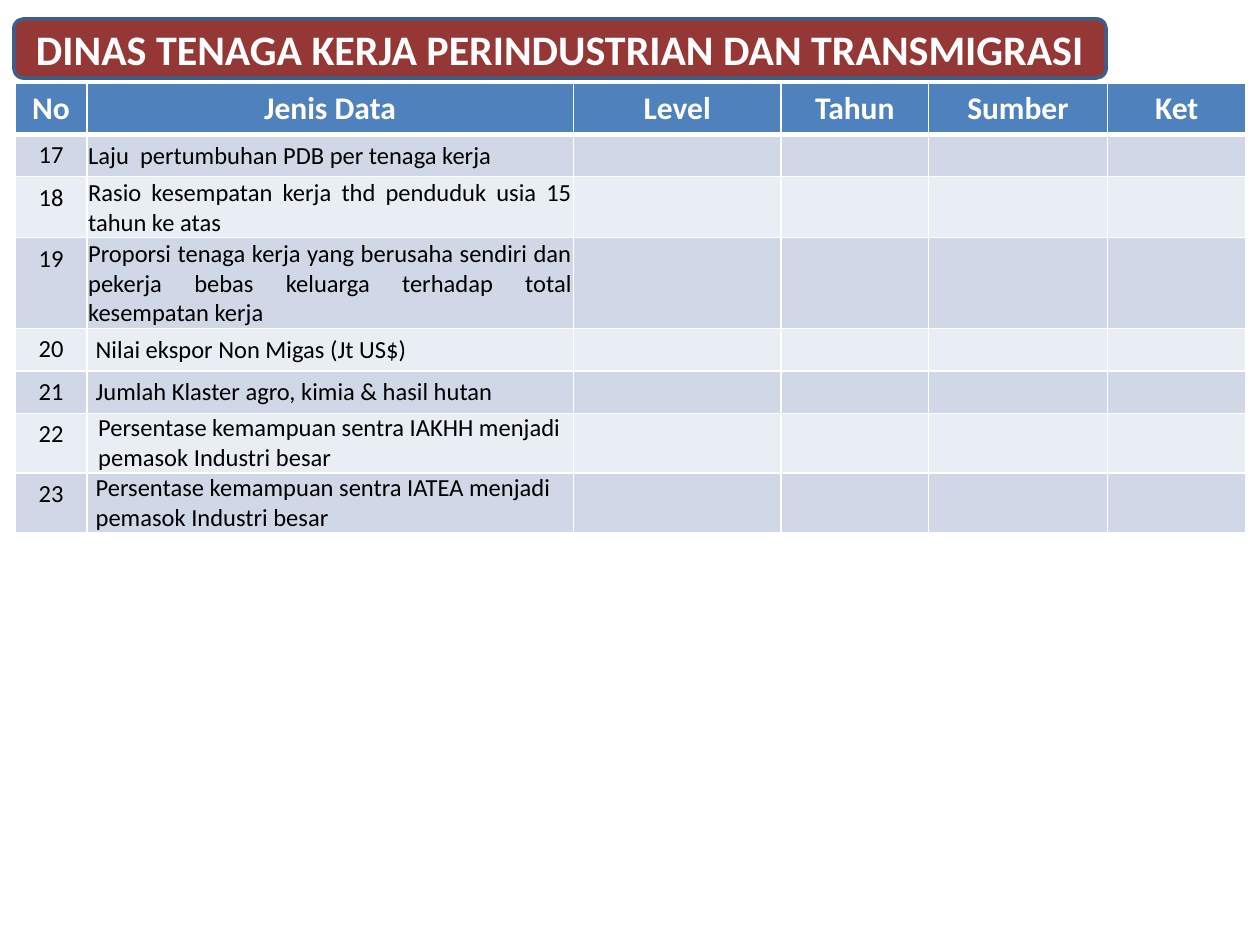
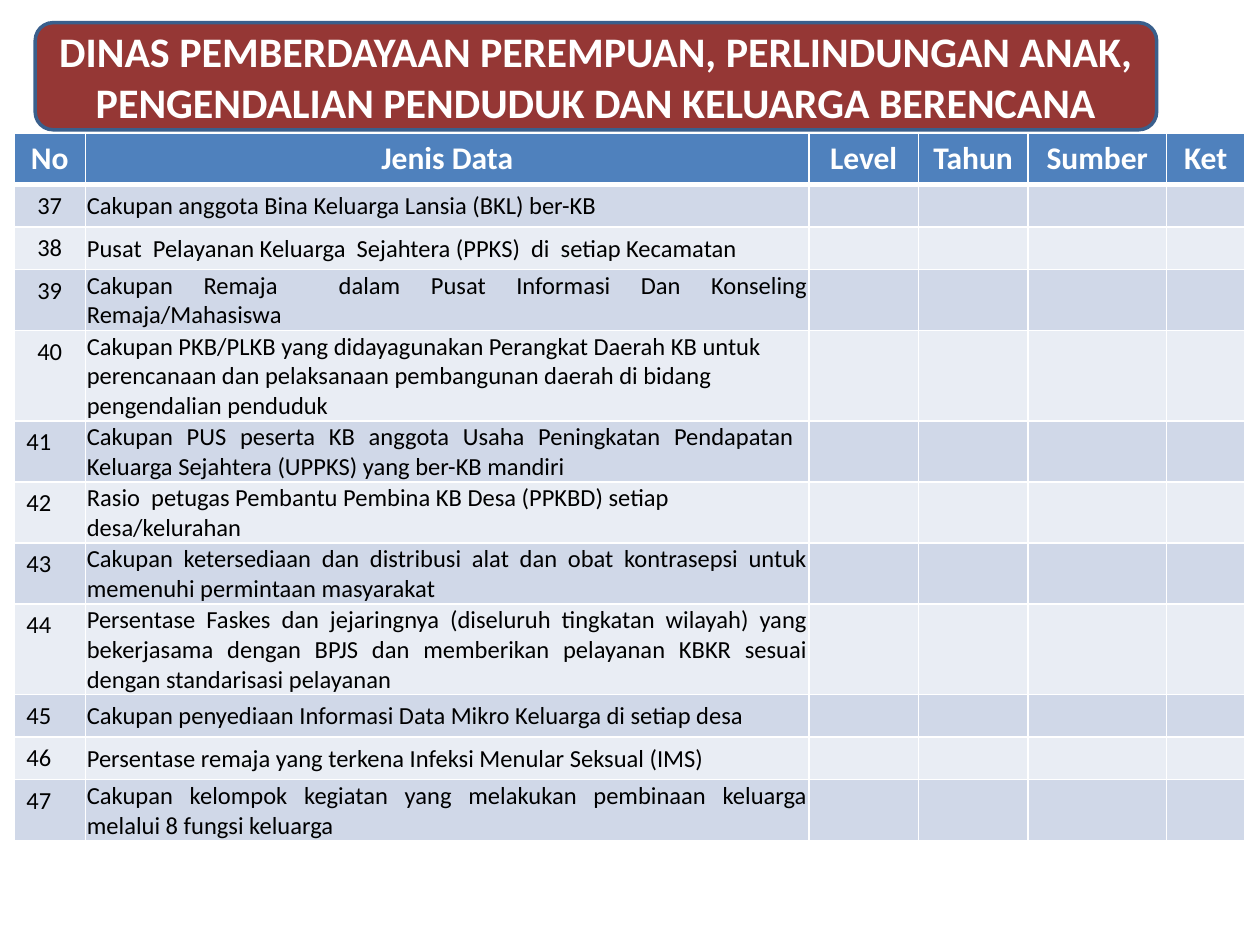
from dataclasses import dataclass

import pptx
import pptx.dml.color
import pptx.enum.shapes
import pptx.enum.text
import pptx.util
from lxml import etree
from pptx.oxml.ns import qn

Inches = pptx.util.Inches
Pt = pptx.util.Pt
ALIGN = pptx.enum.text.PP_ALIGN
MIDDLE = pptx.enum.text.MSO_ANCHOR.MIDDLE
TOP = pptx.enum.text.MSO_ANCHOR.TOP

FONT = "Calibri"
WHITE = "FFFFFF"
BLACK = "000000"
MAROON = "953735"
BANNER_LINE = "3A5F8C"
HEADER_BLUE = "4F81BD"
BANDS = ("D0D8E8", "E9EDF4")
HEADINGS = ("No", "Jenis Data", "Level", "Tahun", "Sumber", "Ket")
HEADER_HEIGHT = 0.36
ROW_HEIGHT = 0.33
LINE_HEIGHT = 0.23


@dataclass(frozen=True)
class Margins:
    left: float = 0.1
    top: float = 0.05
    right: float = 0.1
    bottom: float = 0.05


NORMAL = Margins()
TIGHT = Margins(0.01, 0.01, 0.01, 0)
PADDED = Margins(0.07, 0, 0.07, 0)
INDENTED = Margins(0.09, 0, 0, 0)
EMPTY = Margins(0.1, 0, 0.1, 0)


@dataclass(frozen=True)
class Indicator:
    text: str
    lines: int = 1
    align: ALIGN = ALIGN.LEFT
    margins: Margins = TIGHT


@dataclass(frozen=True)
class Agency:
    title: str
    banner: tuple[float, float, float, float]
    table_at: tuple[float, float]
    columns: tuple[float, ...]
    first_number: int
    last_centred: int
    indicators: tuple[Indicator, ...]


AGENCIES = (
    Agency(
        "DINAS TENAGA KERJA PERINDUSTRIAN DAN TRANSMIGRASI",
        (0.11, 0.15, 8.67, 0.47),
        (0.12, 0.66),
        (0.57, 3.86, 1.65, 1.17, 1.42, 1.1),
        17,
        23,
        (
            Indicator("Laju  pertumbuhan PDB per tenaga kerja"),
            Indicator("Rasio kesempatan kerja thd penduduk usia 15 tahun ke atas", 2, ALIGN.JUSTIFY),
            Indicator(
                "Proporsi tenaga kerja yang berusaha sendiri dan pekerja bebas keluarga "
                "terhadap total kesempatan kerja", 3, ALIGN.JUSTIFY),
            Indicator("Nilai ekspor Non Migas (Jt US$)", margins=PADDED),
            Indicator("Jumlah Klaster agro, kimia & hasil hutan", margins=PADDED),
            Indicator("Persentase kemampuan sentra IAKHH menjadi pemasok Industri besar", 2,
                      margins=INDENTED),
            Indicator("Persentase kemampuan sentra IATEA menjadi pemasok Industri besar", 2,
                      margins=PADDED),
        ),
    ),
    Agency(
        "DINAS PEMBERDAYAAN PEREMPUAN, PERLINDUNGAN ANAK, "
        "PENGENDALIAN PENDUDUK DAN KELUARGA BERENCANA",
        (0.28, 0.18, 8.9, 0.85),
        (0.11, 1.06),
        (0.57, 5.74, 0.87, 0.87, 1.1, 0.62),
        37,
        40,
        (
            Indicator("Cakupan anggota Bina Keluarga Lansia (BKL) ber-KB", 1, ALIGN.JUSTIFY),
            Indicator("Pusat  Pelayanan Keluarga  Sejahtera (PPKS)  di  setiap Kecamatan"),
            Indicator("Cakupan Remaja  dalam Pusat Informasi Dan Konseling Remaja/Mahasiswa",
                      2, ALIGN.JUSTIFY),
            Indicator(
                "Cakupan PKB/PLKB yang didayagunakan Perangkat Daerah KB untuk perencanaan dan "
                "pelaksanaan pembangunan daerah di bidang pengendalian penduduk", 3),
            Indicator(
                "Cakupan PUS peserta KB anggota Usaha Peningkatan Pendapatan  Keluarga "
                "Sejahtera (UPPKS) yang ber-KB mandiri", 2, ALIGN.JUSTIFY),
            Indicator("Rasio  petugas Pembantu Pembina KB Desa (PPKBD) setiap desa/kelurahan", 2),
            Indicator(
                "Cakupan ketersediaan dan distribusi alat dan obat kontrasepsi untuk memenuhi "
                "permintaan masyarakat", 2, ALIGN.JUSTIFY),
            Indicator(
                "Persentase Faskes dan jejaringnya (diseluruh tingkatan wilayah) yang bekerjasama "
                "dengan BPJS dan memberikan pelayanan KBKR sesuai dengan standarisasi pelayanan",
                3, ALIGN.JUSTIFY),
            Indicator("Cakupan penyediaan Informasi Data Mikro Keluarga di setiap desa",
                      1, ALIGN.JUSTIFY),
            Indicator("Persentase remaja yang terkena Infeksi Menular Seksual (IMS)",
                      1, ALIGN.JUSTIFY),
            Indicator(
                "Cakupan kelompok kegiatan yang melakukan pembinaan keluarga melalui 8 fungsi "
                "keluarga", 2, ALIGN.JUSTIFY),
        ),
    ),
)


def rgb(colour: str) -> pptx.dml.color.RGBColor:
    return pptx.dml.color.RGBColor.from_string(colour)


def add_text(tf, text: str, size: float, colour: str, bold: bool, align: ALIGN) -> None:
    p = tf.paragraphs[0]
    p.alignment = align
    r = p.add_run()
    r.text = text
    r.font.name = FONT
    r.font.size = Pt(size)
    r.font.bold = bold
    r.font.color.rgb = rgb(colour)


def set_borders(cell, top: float, bottom: float) -> None:
    tc_pr = cell._tc.get_or_add_tcPr()
    for side, width in (("L", 1), ("R", 1), ("T", top), ("B", bottom)):
        ln = etree.SubElement(tc_pr, qn(f"a:ln{side}"), w=str(Pt(width)))
        fill = etree.SubElement(ln, qn("a:solidFill"))
        etree.SubElement(fill, qn("a:srgbClr"), val=WHITE)


def style_cell(cell, fill: str, margins: Margins, anchor, top: float = 1, bottom: float = 1) -> None:
    set_borders(cell, top, bottom)
    cell.fill.solid()
    cell.fill.fore_color.rgb = rgb(fill)
    cell.margin_left = Inches(margins.left)
    cell.margin_top = Inches(margins.top)
    cell.margin_right = Inches(margins.right)
    cell.margin_bottom = Inches(margins.bottom)
    cell.vertical_anchor = anchor


def add_banner(s, agency: Agency) -> None:
    sp = s.shapes.add_shape(
        pptx.enum.shapes.MSO_SHAPE.ROUNDED_RECTANGLE, *map(Inches, agency.banner))
    sp.shadow.inherit = False
    sp.fill.solid()
    sp.fill.fore_color.rgb = rgb(MAROON)
    sp.line.color.rgb = rgb(BANNER_LINE)
    sp.line.width = Pt(2)
    tf = sp.text_frame
    tf.word_wrap = True
    tf.vertical_anchor = MIDDLE
    add_text(tf, agency.title, 24, WHITE, True, ALIGN.CENTER)


def add_indicator_table(s, agency: Agency) -> None:
    heights = [HEADER_HEIGHT] + [
        max(ROW_HEIGHT, LINE_HEIGHT * item.lines) for item in agency.indicators]
    table = s.shapes.add_table(
        len(heights), len(HEADINGS), *map(Inches, agency.table_at),
        Inches(sum(agency.columns)), Inches(sum(heights))).table
    for column, width in zip(table.columns, agency.columns):
        column.width = Inches(width)
    for row, height in zip(table.rows, heights):
        row.height = Inches(height)

    for col, heading in enumerate(HEADINGS):
        cell = table.cell(0, col)
        style_cell(cell, HEADER_BLUE, NORMAL, TOP, bottom=3)
        add_text(cell.text_frame, heading, 18, WHITE, True, ALIGN.CENTER)

    for row, item in enumerate(agency.indicators, start=1):
        number = agency.first_number + row - 1
        number_align = ALIGN.CENTER if number <= agency.last_centred else ALIGN.LEFT
        layouts = [(NORMAL, TOP), (item.margins, MIDDLE)] + [(EMPTY, TOP)] * (len(HEADINGS) - 2)
        for col, (margins, anchor) in enumerate(layouts):
            style_cell(table.cell(row, col), BANDS[(row - 1) % 2], margins, anchor,
                       top=3 if row == 1 else 1)
        add_text(table.cell(row, 0).text_frame, str(number), 14, BLACK, False, number_align)
        add_text(table.cell(row, 1).text_frame, item.text, 14, BLACK, False, item.align)


def main() -> None:
    prs = pptx.Presentation()
    prs.slide_width = Inches(10)
    prs.slide_height = Inches(7.5)
    for agency in AGENCIES:
        s = prs.slides.add_slide(prs.slide_layouts[6])
        add_banner(s, agency)
        add_indicator_table(s, agency)
    prs.save("out.pptx")


if __name__ == "__main__":
    main()
